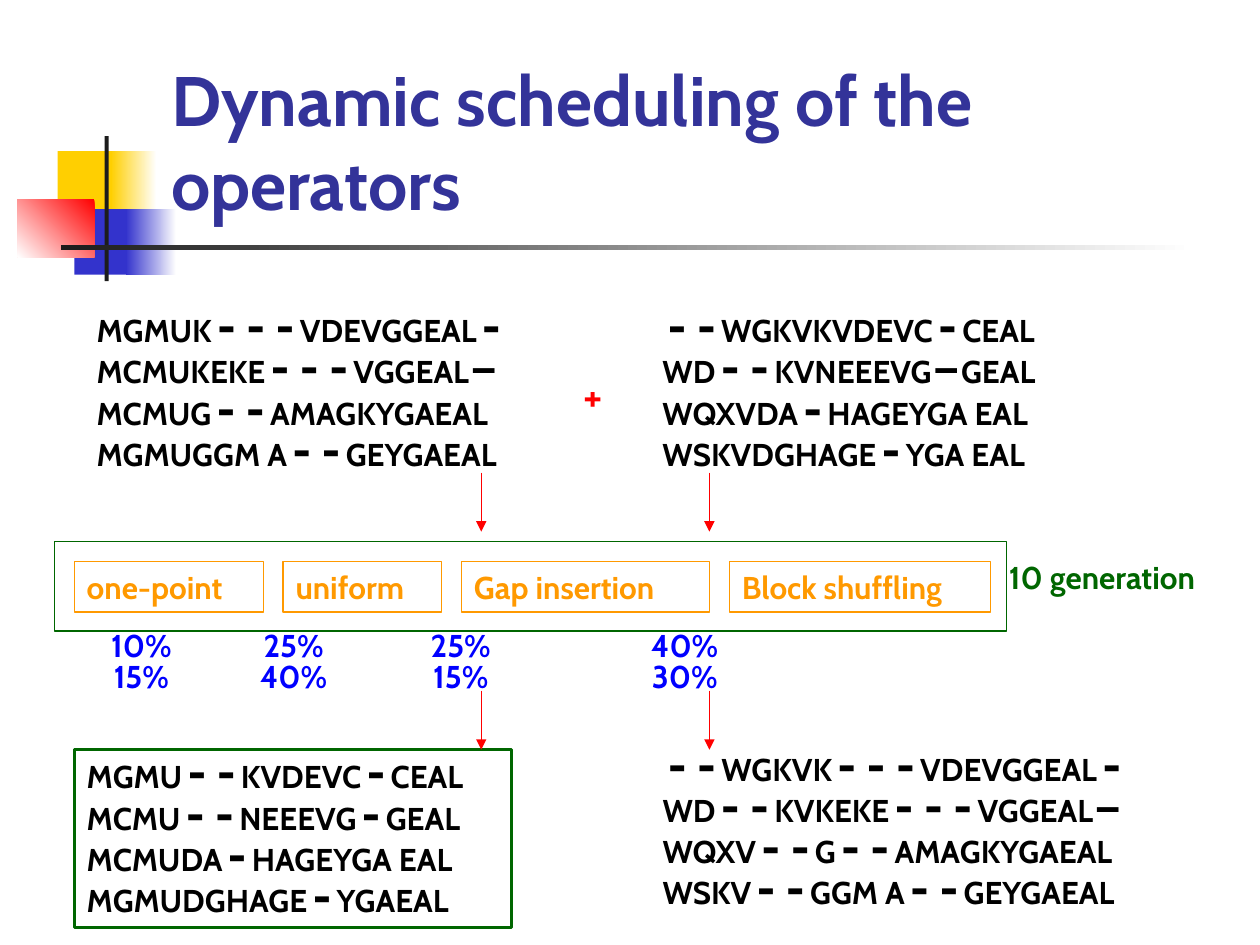
from dataclasses import dataclass
from itertools import groupby

from lxml.etree import SubElement
from pptx import Presentation
from pptx.dml.color import RGBColor
from pptx.enum.shapes import MSO_CONNECTOR, MSO_SHAPE
from pptx.enum.text import MSO_ANCHOR, PP_ALIGN
from pptx.oxml.ns import qn
from pptx.util import Pt

TEXT_FONT, GAP_FONT = "Cabin", "Courier New"
GAP_CHARS = "-–"
BLACK, WHITE, RED, BLUE = "000000", "FFFFFF", "FF0000", "0000FF"
INK, GOLD, INDIGO, NAVY = "1C1C1C", "FFCF01", "3333CC", "333399"
GREEN, ORANGE = "006600", "FF9900"


@dataclass(frozen=True)
class Box:
    x: float
    y: float
    w: float
    h: float

    def lengths(self) -> tuple:
        return Pt(self.x), Pt(self.y), Pt(self.w), Pt(self.h)


@dataclass(frozen=True)
class Ornament:
    box: Box
    colors: tuple
    angle: float = 180


@dataclass(frozen=True)
class Alignment:
    box: Box
    rows: tuple
    border: str | None = None


@dataclass(frozen=True)
class Label:
    text: str
    box: Box
    color: str
    size: float = 18


ORNAMENTS = (
    Ornament(Box(33, 86.4, 34.6, 37.4), (GOLD,)),
    Ornament(Box(63.4, 86.4, 26, 37.4), (WHITE, GOLD)),
    Ornament(Box(42.5, 119.5, 33, 37.4), (INDIGO,)),
    Ornament(Box(72, 119.5, 28.8, 37.4), (WHITE, INDIGO)),
    Ornament(Box(10, 113.8, 44, 33.1), (RED, WHITE), 225),
    Ornament(Box(59.8, 77.8, 2.3, 82.8), (INK,)),
    Ornament(Box(34.6, 140.2, 648, 2.4), (WHITE, INK)),
)

ALIGNMENTS = (
    Alignment(Box(48.2, 173.5, 283.7, 101.5), (
        "MGMUK---VDEVGGEAL-", "MCMUKEKE---VGGEAL–",
        "MCMUG--AMAGKYGAEAL", "MGMUGGM A--GEYGAEAL")),
    Alignment(Box(371.5, 173.5, 283.7, 101.5), (
        "--WGKVKVDEVC-CEAL", "WD--KVNEEEVG–GEAL",
        "WQXVDA-HAGEYGA EAL", "WSKVDGHAGE-YGA EAL")),
    Alignment(Box(42.5, 428.4, 249.8, 101.5), (
        "MGMU--KVDEVC-CEAL", "MCMU--NEEEVG-GEAL",
        "MCMUDA-HAGEYGA EAL", "MGMUDGHAGE-YGAEAL"), GREEN),
    Alignment(Box(371.5, 424, 317.5, 101.5), (
        "--WGKVK---VDEVGGEAL-", "WD--KVKEKE---VGGEAL–",
        "WQXV--G--AMAGKYGAEAL", "WSKV--GGM A--GEYGAEAL")),
)

LABELS = (
    Label("Dynamic scheduling of the operators", Box(90.7, 16.6, 613.4, 115.2), NAVY, 40),
    Label("+", Box(326.2, 207.4, 51, 36), RED, 24),
    Label("10 generation", Box(569.5, 315.4, 141.8, 28.8), GREEN),
)

OPERATORS = (("one-point", 108), ("uniform", 90.7), ("Gap insertion", 141.8),
             ("Block shuffling", 149))
OPERATOR_LEFT, OPERATOR_GAP = 42.5, 11.3

RATES = ((354.2, ("10%", "25%", "25%", "40%")), (372.2, ("15%", "40%", "15%", "30%")))
RATE_CENTERS = (37, 124, 219.5, 347.5)

ARROW_XS, ARROW_TOPS, ARROW_LENGTH = (275, 405.4), (270, 394.6), 33.8


def rgb(color: str) -> RGBColor:
    return RGBColor.from_string(color)


def add_rect(s, box: Box, border: str | None = None, width: float = 0.75):
    """Add an unfilled rectangle whose text starts at the top left."""
    sp = s.shapes.add_shape(MSO_SHAPE.RECTANGLE, *box.lengths())
    sp.shadow.inherit = False
    sp.fill.background()
    if border:
        sp.line.color.rgb = rgb(border)
        sp.line.width = Pt(width)
    else:
        sp.line.fill.background()
    sp.text_frame.vertical_anchor = MSO_ANCHOR.TOP
    return sp


def add_text_box(s, box: Box):
    sp = s.shapes.add_textbox(*box.lengths())
    sp.text_frame.word_wrap = True
    return sp


def style(p, color: str, size: float | None = 18) -> None:
    p.alignment = PP_ALIGN.LEFT
    p.font.bold = True
    p.font.color.rgb = rgb(color)
    if size:
        p.font.name = TEXT_FONT
        p.font.size = Pt(size)


def write(sp, text: str, color: str, size: float = 18) -> None:
    p = sp.text_frame.paragraphs[0]
    p.text = text
    style(p, color, size)


def draw_ornament(s, item: Ornament) -> None:
    fill = add_rect(s, item.box).fill
    if len(item.colors) == 1:
        fill.solid()
        fill.fore_color.rgb = rgb(item.colors[0])
        return
    fill.gradient()
    fill.gradient_angle = item.angle
    for stop, color in zip(fill.gradient_stops, item.colors):
        stop.color.rgb = rgb(color)


def draw_alignment(s, item: Alignment) -> None:
    """Write aligned sequences, with gap symbols larger and monospaced."""
    sp = add_rect(s, item.box, item.border, 1.5) if item.border else add_text_box(s, item.box)
    tf = sp.text_frame
    for i, row in enumerate(item.rows):
        p = tf.add_paragraph() if i else tf.paragraphs[0]
        p.line_spacing = 0.7
        style(p, BLACK, None)
        for is_gap, chars in groupby(row, key=lambda char: char in GAP_CHARS):
            r = p.add_run()
            r.text = "".join(chars)
            r.font.name = GAP_FONT if is_gap else TEXT_FONT
            r.font.size = Pt(28 if is_gap else 18)


def draw_operators(s) -> None:
    left = OPERATOR_LEFT
    for name, width in OPERATORS:
        write(add_rect(s, Box(left, 321, width, 28.8), ORANGE), name, ORANGE)
        left += width + OPERATOR_GAP
    add_rect(s, Box(31, 309.6, 544.3, 51), GREEN)


def draw_rates(s, top: float, rates: tuple) -> None:
    """Write one row of percentages centred on shared tab stops."""
    sp = add_text_box(s, Box(36.7, top, 527, 28.8))
    tabs = SubElement(sp.text_frame.paragraphs[0]._p.get_or_add_pPr(), qn("a:tabLst"))
    for center in RATE_CENTERS:
        SubElement(tabs, qn("a:tab"), pos=str(int(Pt(center))), algn="ctr")
    write(sp, "".join(f"\t{rate}" for rate in rates), BLUE)


def draw_arrow(s, x: float, top: float) -> None:
    line = s.shapes.add_connector(
        MSO_CONNECTOR.STRAIGHT, Pt(x), Pt(top), Pt(x), Pt(top + ARROW_LENGTH))
    line.line.color.rgb = rgb(RED)
    line.line.width = Pt(0.75)
    SubElement(line.line._get_or_add_ln(), qn("a:tailEnd"), type="triangle")
    SubElement(line._element.spPr, qn("a:effectLst"))


def main() -> None:
    prs = Presentation()
    prs.slide_width, prs.slide_height = Pt(720), Pt(540)
    s = prs.slides.add_slide(prs.slide_layouts[6])
    for ornament in ORNAMENTS:
        draw_ornament(s, ornament)
    for label in LABELS:
        sp = add_text_box(s, label.box)
        write(sp, label.text, label.color, label.size)
        if label.size == 40:
            sp.text_frame.vertical_anchor = MSO_ANCHOR.BOTTOM
    for alignment in ALIGNMENTS:
        draw_alignment(s, alignment)
    draw_operators(s)
    for top, rates in RATES:
        draw_rates(s, top, rates)
    for top in ARROW_TOPS:
        for x in ARROW_XS:
            draw_arrow(s, x, top)
    prs.save("out.pptx")


if __name__ == "__main__":
    main()
